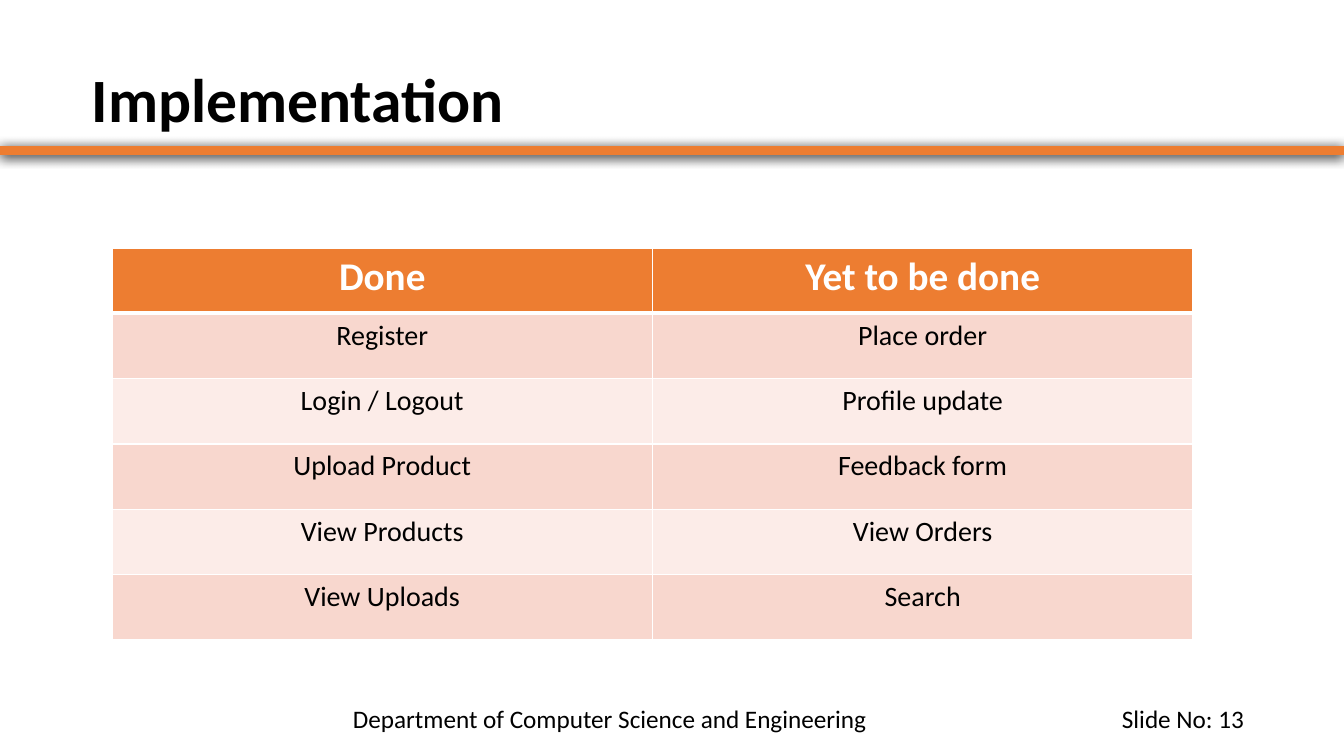
from dataclasses import dataclass

from lxml import etree
from pptx import Presentation
from pptx.dml.color import RGBColor
from pptx.enum.shapes import MSO_SHAPE
from pptx.enum.text import MSO_ANCHOR, PP_ALIGN
from pptx.oxml import parse_xml
from pptx.util import Emu, Pt

RECT = MSO_SHAPE.RECTANGLE
TOP, MIDDLE = MSO_ANCHOR.TOP, MSO_ANCHOR.MIDDLE
LEFT, CENTER, RIGHT = PP_ALIGN.LEFT, PP_ALIGN.CENTER, PP_ALIGN.RIGHT
NS = "http://schemas.openxmlformats.org/drawingml/2006/main"
EMU_PER_PX = 914400 / 100.8


@dataclass(frozen=True)
class Theme:
    font: str = "Calibri"
    ink: str = "000000"
    white: str = "FFFFFF"
    accent: str = "ED7D31"
    bands: tuple = ("F8D7CE", "FCECE8")
    title: int = 44
    header: int = 28
    body: int = 20
    footer: int = 18
    rule: int = 1
    header_rule: int = 3


def px(n):
    return Emu(round(n * EMU_PER_PX))


class Deck:
    def __init__(self, theme):
        self.theme = theme
        self.prs = Presentation()
        self.prs.slide_width, self.prs.slide_height = px(1344), px(756)
        self.s = self.prs.slides.add_slide(self.prs.slide_layouts[6])

    def paragraph(self, p, text, size, color, bold=False, align=LEFT):
        p.text = text
        p.alignment = align
        p.font.name = self.theme.font
        p.font.size = Pt(size)
        p.font.bold = bold
        p.font.color.rgb = RGBColor.from_string(color)

    def text(self, box, text, size, bold=False, align=LEFT, anchor=TOP):
        tf = self.s.shapes.add_textbox(*map(px, box)).text_frame
        tf.word_wrap = True
        tf.vertical_anchor = anchor
        self.paragraph(tf.paragraphs[0], text, size, self.theme.ink, bold, align)

    def bar(self, box):
        sp = self.s.shapes.add_shape(RECT, *map(px, box))
        sp.fill.solid()
        sp.fill.fore_color.rgb = RGBColor.from_string(self.theme.accent)
        sp.line.fill.background()
        sp.shadow.inherit = False
        effects = sp.element.spPr.find(f"{{{NS}}}effectLst")
        shadow = etree.SubElement(
            effects, f"{{{NS}}}outerShdw", blurRad=str(Pt(8.5)),
            dist=str(Pt(1)), dir="5400000", algn="t", rotWithShape="0")
        etree.SubElement(shadow, f"{{{NS}}}srgbClr", val=self.theme.ink)

    def border(self, cell, side, width):
        cell._tc.get_or_add_tcPr().append(parse_xml(
            f'<a:ln{side} xmlns:a="{NS}" w="{Pt(width)}"><a:solidFill>'
            f'<a:srgbClr val="{self.theme.white}"/></a:solidFill></a:ln{side}>'))

    def table(self, box, rows):
        t = self.theme
        table = self.s.shapes.add_table(len(rows), len(rows[0]), *map(px, box)).table
        for i, row in enumerate(rows):
            head = i == 0
            fill = t.accent if head else t.bands[(i - 1) % 2]
            size, color = (t.header, t.white) if head else (t.body, t.ink)
            rules = {"L": t.rule, "R": t.rule,
                     "T": t.header_rule if i == 1 else t.rule,
                     "B": t.header_rule if head else t.rule}
            for j, text in enumerate(row):
                cell = table.cell(i, j)
                for side, width in rules.items():
                    self.border(cell, side, width)
                cell.fill.solid()
                cell.fill.fore_color.rgb = RGBColor.from_string(fill)
                p = cell.text_frame.paragraphs[0]
                self.paragraph(p, text, size, color, head, CENTER)


def main():
    theme = Theme()
    deck = Deck(theme)
    deck.text((82, 51, 1170, 93), "Implementation", theme.title, bold=True, anchor=MIDDLE)
    deck.bar((0, 146, 1344, 9))
    deck.table((112, 248, 1081, 392), [
        ("Done", "Yet to be done"),
        ("Register", "Place order"),
        ("Login / Logout", "Profile update"),
        ("Upload Product", "Feedback form"),
        ("View Products", "View Orders"),
        ("View Uploads", "Search"),
    ])
    deck.text((343, 698, 560, 42), "Department of Computer Science and Engineering", theme.footer)
    deck.text((1054, 698, 200, 42), "Slide No: 13", theme.footer, align=RIGHT)
    deck.prs.save("out.pptx")


if __name__ == "__main__":
    main()
